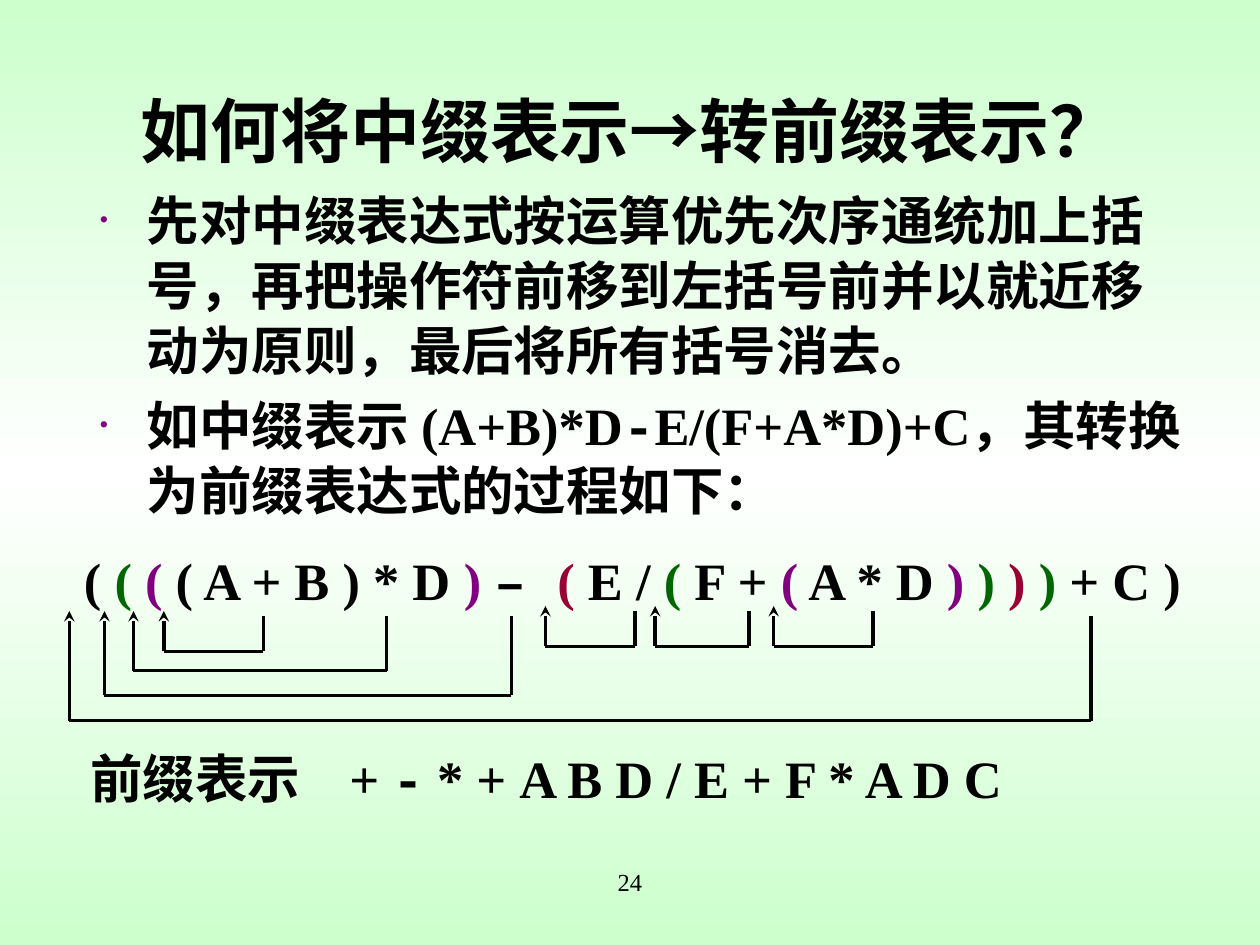
from lxml import etree
from pptx import Presentation
from pptx.dml.color import RGBColor
from pptx.enum import shapes, text
from pptx.oxml.ns import qn
from pptx.util import Pt
from copy import deepcopy

COLORS = {"black": "000000", "green": "006600", "purple": "800080",
          "red": "990033", "mint": "CCFFCC", "white": "FFFFFF"}
TIMES, COURIER, CJK = "Times New Roman", "Courier New", "Noto Sans CJK SC"


def rgb(name):
    """Return the named colour."""
    return RGBColor.from_string(COLORS[name])


def sub(parent, tag, **attrs):
    """Append a drawing element with the given attributes."""
    return etree.SubElement(parent, qn(tag), {k: str(v) for k, v in attrs.items()})


def paint_background(s):
    """Fill the slide with a vertical mint, white, mint gradient."""
    fill = s.background.fill
    fill.gradient()
    fill.gradient_angle = 270
    stops = next(s.element.iter(qn("a:gsLst")))
    stops.append(deepcopy(stops[-1]))
    for stop, position, name in zip(fill.gradient_stops, (0, 0.5, 1), ("mint", "white", "mint")):
        stop.position = position
        stop.color.rgb = rgb(name)


def add_box(s, box, wrap=True, anchor=text.MSO_ANCHOR.TOP):
    """Add an empty text box and return its frame."""
    tf = s.shapes.add_textbox(*map(Pt, box)).text_frame
    tf.word_wrap = wrap
    tf.vertical_anchor = anchor
    return tf


def write(p, runs, size, bold=True, align=text.PP_ALIGN.LEFT):
    """Write (text, font, colour) runs into a paragraph."""
    p.alignment = align
    p.font.size, p.font.bold = Pt(size), bold
    for words, font, color in runs:
        r = p.add_run()
        r.text = words
        r.font.size, r.font.bold, r.font.name = Pt(size), bold, font
        r.font.color.rgb = rgb(color)
        sub(r.font._element, "a:ea", typeface=CJK)


def add_title(s, box):
    """Place the centred title."""
    tf = add_box(s, box, anchor=text.MSO_ANCHOR.MIDDLE)
    runs = [("如何将中缀表示", TIMES, "black"), ("→", COURIER, "black"),
            ("转前缀表示？", TIMES, "black")]
    write(tf.paragraphs[0], runs, 40, align=text.PP_ALIGN.CENTER)


def add_body(s, box):
    """Place the two bulleted paragraphs."""
    tf = add_box(s, box)
    items = [
        [("先对中缀表达式按运算优先次序通统加上括号，再把操作符前移到左括号前"
          "并以就近移动为原则，最后将所有括号消去。", TIMES, "black")],
        [("如中缀表示 ", CJK, "black"), ("(A+B)*D", TIMES, "black"),
         ("-", COURIER, "black"), ("E/(F+A*D)+C", TIMES, "black"),
         ("，其转换为前缀表达式的过程如下：", CJK, "black")],
    ]
    for i, runs in enumerate(items):
        p = tf.add_paragraph() if i else tf.paragraphs[0]
        p.line_spacing, p.space_before = Pt(37), Pt(6)
        write(p, runs, 30)
        pPr = p._p.get_or_add_pPr()
        pPr.set("marL", str(Pt(27)))
        pPr.set("indent", str(Pt(-27)))
        bullet = [etree.Element(qn(tag)) for tag in ("a:buClr", "a:buSzPct", "a:buFont", "a:buChar")]
        sub(bullet[0], "a:srgbClr", val=COLORS["purple"])
        bullet[1].set("val", "50000")
        bullet[2].set("typeface", TIMES)
        bullet[3].set("char", "•")
        at = list(pPr).index(pPr.find(qn("a:defRPr")))
        pPr[at:at] = bullet


def add_line(s, start, end, width=2.0, arrow=False):
    """Draw a black line, with an arrowhead at its end if asked."""
    c = s.shapes.add_connector(shapes.MSO_CONNECTOR.STRAIGHT, *map(Pt, start + end))
    c.line.color.rgb = rgb("black")
    c.line.width = Pt(width)
    if arrow:
        sub(c.line._get_or_add_ln(), "a:tailEnd", type="stealth")
    sub(c._element.spPr, "a:effectLst")


def add_move(s, left, top, width, depth):
    """Draw the path that moves an operator left to its parenthesis."""
    right, bottom = left + width, top + depth
    add_line(s, (left, bottom), (left, top), arrow=True)
    add_line(s, (right, bottom), (left, bottom), 1.75)
    add_line(s, (right, bottom), (right, top + 2.9))


def add_formula(s, box):
    """Place the parenthesised formula and the operator moves below it."""
    tf = add_box(s, box, wrap=False)
    parts = [("( ", "black"), ("( ", "green"), ("(", "purple"),
             (" ( A + B ) * D ", "black"), (") ", "purple"), ("– ", "black"),
             ("(", "red"), (" E / ", "black"), ("(", "green"), (" F + ", "black"),
             ("(", "purple"), (" A * D ", "black"), (") ", "purple"),
             (") ", "green"), (") ", "red"), (")", "green"), (" + C )", "black")]
    runs = [(words, COURIER if "–" in words else TIMES, color) for words, color in parts]
    write(tf.paragraphs[0], runs, 30, align=text.PP_ALIGN.CENTER)
    left, top = box[:2]
    outer = [(56.9, 56.9, 23), (39.6, 144.7, 34), (23, 232.6, 48.2), (2.9, 583.9, 62.6)]
    inner = [(275, 51.1, 23), (337.7, 53.6, 23), (405.4, 56.9, 23)]
    for moves, y in ((outer, 39.6), (inner, 36.7)):
        for x, width, depth in moves:
            add_move(s, left + x, top + y, width, depth)


def add_result(s, box):
    """Place the prefix form, tabbed away from its label."""
    p = add_box(s, box, wrap=False).paragraphs[0]
    runs = [("前缀表示\t+ ", TIMES, "black"), ("-", COURIER, "black"),
            (" * + A B D / E + F * A D C", TIMES, "black")]
    write(p, runs, 30)
    pPr = p._p.get_or_add_pPr()
    tabs = etree.Element(qn("a:tabLst"))
    sub(tabs, "a:tab", pos=Pt(148), algn="l")
    pPr.find(qn("a:defRPr")).addprevious(tabs)


def add_page_number(s, box):
    """Place the page number."""
    p = add_box(s, box).paragraphs[0]
    p.space_before = Pt(7)
    write(p, [("24", TIMES, "black")], 14, bold=False, align=text.PP_ALIGN.CENTER)


def main():
    """Build and save the slide."""
    prs = Presentation()
    prs.slide_width, prs.slide_height = Pt(720), Pt(540)
    s = prs.slides.add_slide(prs.slide_layouts[6])
    paint_background(s)
    add_page_number(s, (246, 492, 228, 36))
    add_title(s, (36, 36, 648, 75.6))
    add_body(s, (49.7, 103, 633.6, 204.5))
    add_formula(s, (36.7, 309.6, 649.4, 43.2))
    add_result(s, (44.6, 422.6, 536.4, 43.2))
    prs.save("out.pptx")


if __name__ == "__main__":
    main()
